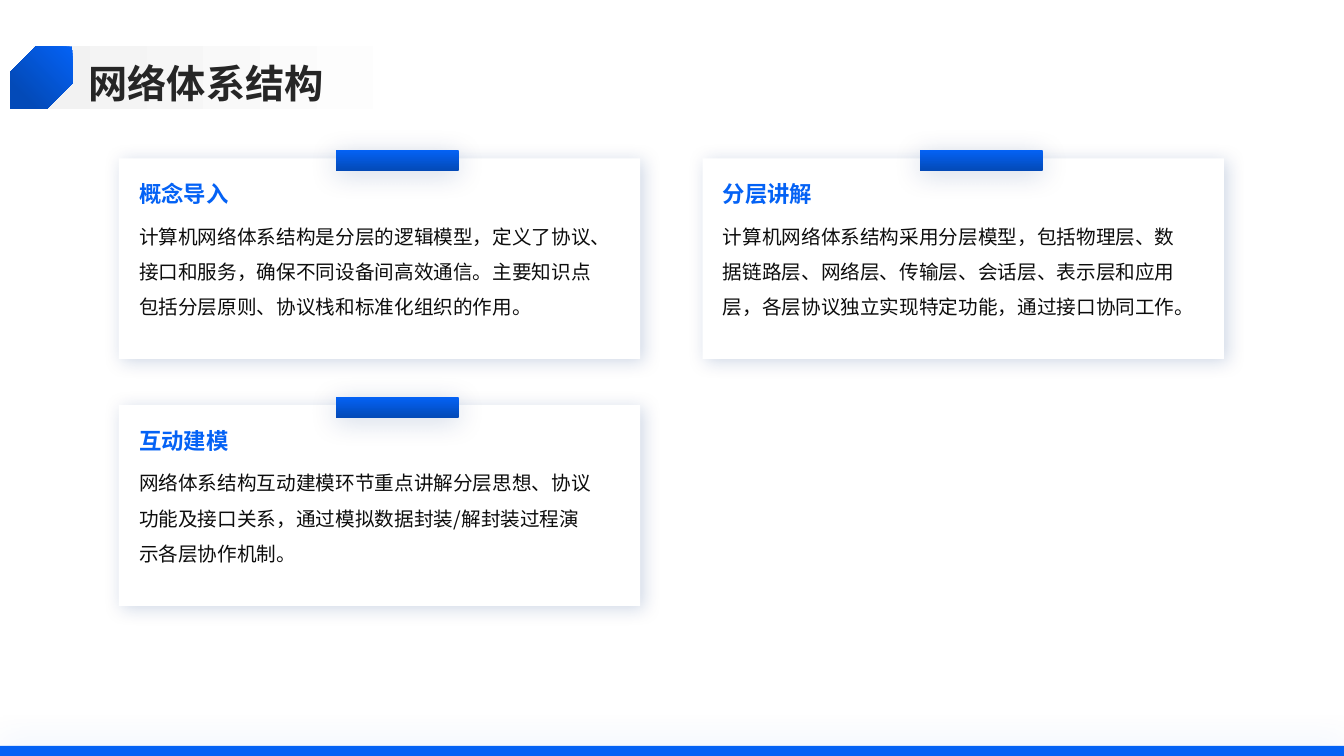
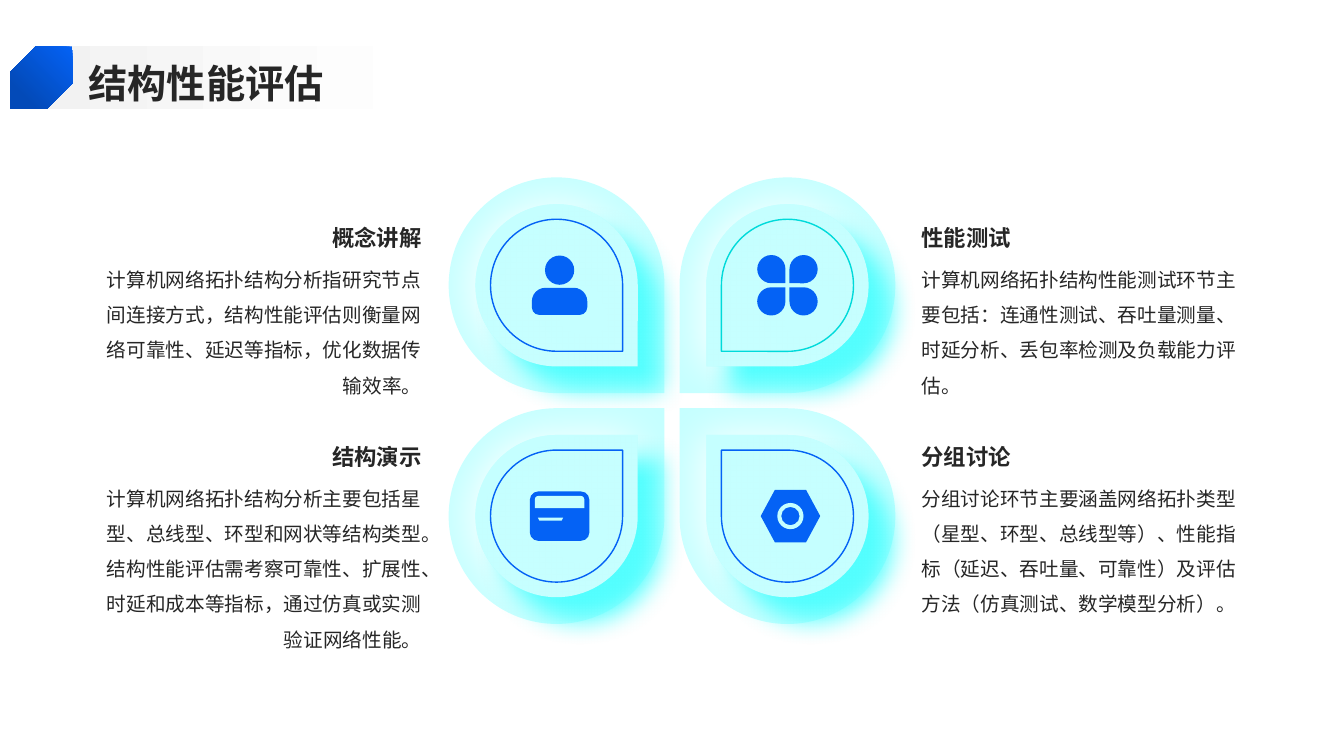
import pptx
import pptx.util
import pptx.dml.color
import pptx.enum.lang
import pptx.enum.shapes
import pptx.enum.text
import pptx.oxml.ns
import lxml.etree

Inches = pptx.util.Inches
RGBColor = pptx.dml.color.RGBColor
SHAPE = pptx.enum.shapes.MSO_SHAPE
ALIGN = pptx.enum.text.PP_ALIGN
ANCHOR = pptx.enum.text.MSO_ANCHOR
qn = pptx.oxml.ns.qn

# Shared style
BLUE = RGBColor(0x04, 0x62, 0xF5)
DARK_BLUE = RGBColor(0x03, 0x4A, 0xB8)
NAVY = RGBColor(0x02, 0x31, 0x7B)
TEAL = RGBColor(0x00, 0xDA, 0xDA)
AQUA = RGBColor(0x50, 0xFF, 0xFF)
PALE_AQUA = RGBColor(0xC5, 0xFF, 0xFF)
WHITE = RGBColor(0xFF, 0xFF, 0xFF)
LIGHT_GREY = RGBColor(0xF2, 0xF2, 0xF2)
DARK_GREY = RGBColor(0x26, 0x26, 0x26)
NEAR_BLACK = RGBColor(0x0D, 0x0D, 0x0D)
CJK_FONT = "Noto Sans CJK SC"
LATIN_FONT = "Arial"

# Shadows: colour, opacity %, blur pt, distance pt, direction in degrees
BAR_SHADOW = (BLUE, 20, 25, 0, 0)
CARD_SHADOW = (NAVY, 19, 13, 3, 45)
TAB_SHADOW = (NAVY, 19, 20, 3, 90)
GLOW_SHADOW = (WHITE, 100, 32, 3, 180)
AQUA_SHADOW = (AQUA, 100, 18, 24, 45)
OUTLINE_SHADOW = (WHITE, 100, 34, 24, 45)

# Slide 1: column, row, heading, body
ARCHITECTURE_TITLE = "网络体系结构"
CARDS = [
    (0, 0, "概念导入", "计算机网络体系结构是分层的逻辑模型，定义了协议、接口和服务，"
     "确保不同设备间高效通信。主要知识点包括分层原则、协议栈和标准化组织的作用。"),
    (1, 0, "分层讲解", "计算机网络体系结构采用分层模型，包括物理层、数据链路层、网络层、"
     "传输层、会话层、表示层和应用层，各层协议独立实现特定功能，通过接口协同工作。"),
    (0, 1, "互动建模", "网络体系结构互动建模环节重点讲解分层思想、协议功能及接口关系，"
     "通过模拟数据封装/解封装过程演示各层协作机制。"),
]

# Icon parts: shape, centre x and y from the petal centre, width, height,
# colour, rotation, adjustments
PERSON = [
    (SHAPE.OVAL, 0.03, -0.15, 0.29, 0.29, BLUE, 0, ()),
    (SHAPE.ROUND_2_SAME_RECTANGLE, 0.03, 0.16, 0.55, 0.27, BLUE, 0, (0.5, 0.28)),
]
CLOVER = [
    (SHAPE.TEAR, x, y, 0.28, 0.28, BLUE, rotation, ())
    for x, y, rotation in [(-0.16, -0.16, 90), (0.16, -0.16, 180),
                           (0.16, 0.16, 270), (-0.16, 0.16, 0)]
]
BANK_CARD = [
    (SHAPE.ROUNDED_RECTANGLE, 0.03, 0, 0.59, 0.49, BLUE, 0, (0.17,)),
    (SHAPE.ROUND_2_SAME_RECTANGLE, 0.03, -0.14, 0.49, 0.12, PALE_AQUA, 0, (0.28, 0)),
    (SHAPE.TRAPEZOID, -0.06, 0.03, 0.25, 0.03, PALE_AQUA, 180, (0.5,)),
]
NUT = [
    (SHAPE.HEXAGON, 0.03, 0, 0.59, 0.52, BLUE, 0, (0.27,)),
    (SHAPE.DONUT, 0.03, 0, 0.26, 0.26, PALE_AQUA, 0, (0.15,)),
]

# Slide 2: column, row, petal rotation, outline colour, icon, heading, body
PERFORMANCE_TITLE = "结构性能评估"
PETALS = [
    (0, 0, 90, BLUE, PERSON, "概念讲解",
     "计算机网络拓扑结构分析指研究节点间连接方式，结构性能评估则衡量网络可靠性、"
     "延迟等指标，优化数据传输效率。"),
    (1, 0, 180, TEAL, CLOVER, "性能测试",
     "计算机网络拓扑结构性能测试环节主要包括：连通性测试、吞吐量测量、时延分析、"
     "丢包率检测及负载能力评估。"),
    (0, 1, 0, BLUE, BANK_CARD, "结构演示",
     "计算机网络拓扑结构分析主要包括星型、总线型、环型和网状等结构类型。"
     "结构性能评估需考察可靠性、扩展性、时延和成本等指标，通过仿真或实测验证网络性能。"),
    (1, 1, 270, BLUE, NUT, "分组讨论",
     "分组讨论环节主要涵盖网络拓扑类型（星型、环型、总线型等）、性能指标"
     "（延迟、吞吐量、可靠性）及评估方法（仿真测试、数学模型分析）。"),
]


def add_shadow(shape, color, opacity, blur, distance, direction):
    effects = shape._element.spPr.find(qn("a:effectLst"))
    outer = lxml.etree.SubElement(
        effects, qn("a:outerShdw"), blurRad=str(pptx.util.Pt(blur)),
        dist=str(pptx.util.Pt(distance)), dir=str(direction * 60000),
        algn="ctr", rotWithShape="0")
    rgb = lxml.etree.SubElement(outer, qn("a:srgbClr"), val=str(color))
    lxml.etree.SubElement(rgb, qn("a:alpha"), val=str(opacity * 1000))


def add_shape(slide, kind, left, top, width, height, fill=None, gradient=None,
              line=None, shadow=None, rotation=0, adjustments=()):
    """A gradient is (first colour, last colour, last stop, angle)."""
    shape = slide.shapes.add_shape(
        kind, Inches(left), Inches(top), Inches(width), Inches(height))
    shape.rotation = rotation
    shape.shadow.inherit = False
    for index, value in enumerate(adjustments):
        shape.adjustments[index] = value
    if gradient:
        first, last, end, angle = gradient
        shape.fill.gradient()
        shape.fill.gradient_angle = angle
        for stop, color, position in zip(shape.fill.gradient_stops, (first, last), (0, end)):
            stop.color.rgb = color
            stop.position = position
    elif fill is not None:
        shape.fill.solid()
        shape.fill.fore_color.rgb = fill
    else:
        shape.fill.background()
    if line is not None:
        shape.line.color.rgb = line
        shape.line.width = pptx.util.Pt(1)
    else:
        shape.line.fill.background()
    if shadow:
        add_shadow(shape, *shadow)
    return shape


def add_text(slide, text, left, top, width, height, size=14, color=DARK_GREY, bold=False,
             font=CJK_FONT, align=ALIGN.LEFT, anchor=ANCHOR.TOP, spacing=1.5):
    box = slide.shapes.add_textbox(Inches(left), Inches(top), Inches(width), Inches(height))
    frame = box.text_frame
    frame.word_wrap = True
    frame.vertical_anchor = anchor
    frame.margin_left = frame.margin_right = frame.margin_top = frame.margin_bottom = 0
    paragraph = frame.paragraphs[0]
    paragraph.alignment = align
    paragraph.line_spacing = spacing
    run = paragraph.add_run()
    run.text = text
    run.font.size = pptx.util.Pt(size)
    run.font.bold = bold
    run.font.color.rgb = color
    run.font.name = font
    run.font.language_id = pptx.enum.lang.MSO_LANGUAGE_ID.SIMPLIFIED_CHINESE
    latin = run.font._element.find(qn("a:latin"))
    latin.addnext(latin.makeelement(qn("a:ea"), {"typeface": CJK_FONT}))


def add_title(slide, title):
    add_shape(slide, SHAPE.RECTANGLE, 0.33, 0.46, 4.92, 0.62,
              gradient=(LIGHT_GREY, WHITE, 0.8, 0))
    add_text(slide, title, 0.88, 0.54, 11.88, 0.51, size=28, bold=True,
             anchor=ANCHOR.MIDDLE, spacing=1.1)
    add_shape(slide, SHAPE.SNIP_2_DIAG_RECTANGLE, 0.1, 0.46, 0.62, 0.62,
              gradient=(BLUE, DARK_BLUE, 0.8, 225), adjustments=(0.41, 0))


def add_card(slide, column, row, heading, body):
    left, top = 1.18 + 5.79 * column, 1.57 + 2.45 * row
    add_shape(slide, SHAPE.RECTANGLE, left, top, 5.17, 1.99, fill=WHITE, shadow=CARD_SHADOW)
    add_shape(slide, SHAPE.RECTANGLE, left + 2.15, top - 0.08, 1.22, 0.2,
              gradient=(BLUE, DARK_BLUE, 1, 270), shadow=TAB_SHADOW)
    add_text(slide, heading, left + 0.2, top + 0.22, 4.56, 0.36, size=16, color=BLUE,
             bold=True, spacing=1)
    add_text(slide, body, left + 0.2, top + 0.54, 4.56, 1.32, color=NEAR_BLACK)


def add_petal(slide, column, row, rotation, outline, icon, heading, body):
    center_x, center_y = 5.52 + 2.29 * column, 2.83 + 2.29 * row

    def add_centered(kind, x, y, width, height, **style):
        add_shape(slide, kind, center_x + x - width / 2, center_y + y - height / 2,
                  width, height, **style)

    # Petal layers, widest first
    for size, style in [
        (2.14, {"fill": PALE_AQUA}),
        (1.61, {"fill": PALE_AQUA, "shadow": GLOW_SHADOW}),
        (1.61, {"fill": PALE_AQUA, "shadow": AQUA_SHADOW}),
        (1.31, {"line": outline, "shadow": OUTLINE_SHADOW}),
    ]:
        add_centered(SHAPE.TEAR, 0, 0, size, size, rotation=rotation, **style)
    for kind, x, y, width, height, color, turn, adjustments in icon:
        add_centered(kind, x, y, width, height, fill=color, rotation=turn,
                     adjustments=adjustments)

    # Text beside the petal, aligned towards it
    left, top = 1.02 + 8.12 * column, 2.18 + 2.17 * row
    align = (ALIGN.RIGHT, ALIGN.LEFT)[column]
    add_text(slide, heading, left, top, 3.16, 0.31, size=16, bold=True, align=align,
             anchor=ANCHOR.BOTTOM)
    add_text(slide, body, left, top + 0.36, 3.16, 1.54, align=align,
             font=(LATIN_FONT, CJK_FONT)[column])


def main():
    presentation = pptx.Presentation()
    presentation.slide_width = Inches(13.33)
    presentation.slide_height = Inches(7.5)
    blank = presentation.slide_layouts[6]

    # Slide 1: cards above a bottom bar
    slide = presentation.slides.add_slide(blank)
    add_title(slide, ARCHITECTURE_TITLE)
    add_shape(slide, SHAPE.RECTANGLE, 0, 7.4, 13.33, 0.1, fill=BLUE, shadow=BAR_SHADOW)
    for card in CARDS:
        add_card(slide, *card)

    # Slide 2: four petals with text on both sides
    slide = presentation.slides.add_slide(blank)
    add_title(slide, PERFORMANCE_TITLE)
    for petal in PETALS:
        add_petal(slide, *petal)

    presentation.save("out.pptx")


if __name__ == "__main__":
    main()
